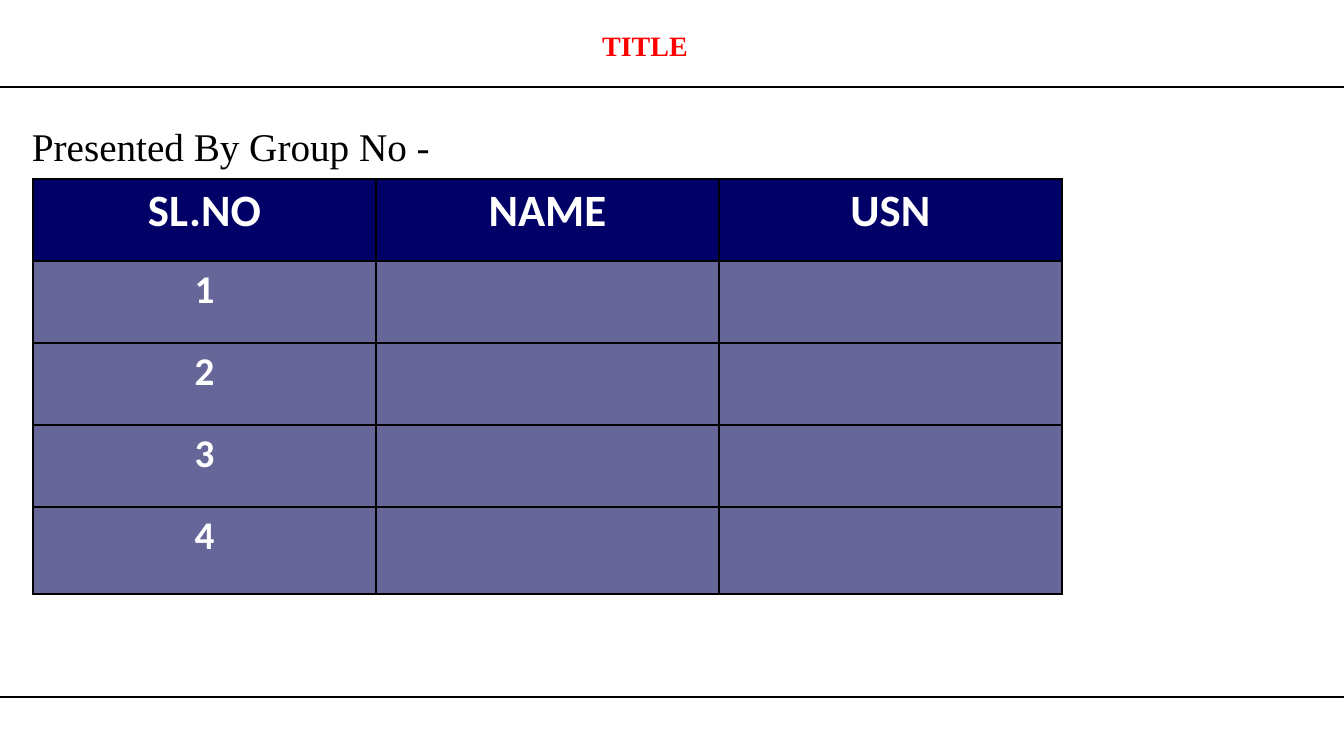
from lxml import etree
from pptx import Presentation
from pptx.dml.color import RGBColor
from pptx.enum.shapes import MSO_CONNECTOR
from pptx.enum.text import PP_ALIGN
from pptx.oxml.ns import qn
from pptx.util import Pt

LEFT, CENTER = PP_ALIGN.LEFT, PP_ALIGN.CENTER
STRAIGHT = MSO_CONNECTOR.STRAIGHT

# Content
TITLE = "TITLE"
GROUP = "Presented By Group No -"
HEAD = ["SL.NO", "NAME", "USN"]
MEMBERS = [["1", "", ""], ["2", "", ""], ["3", "", ""], ["4", "", ""]]


class Theme:
    serif, sans = "Times New Roman", "Calibri"
    black, white, red = "000000", "FFFFFF", "FF0000"
    navy, slate = "000066", "666699"
    title, label, head, body = 20, 28, 32, 28
    rule, border = 1.5, 1


# Layout in px
WIDE, HIGH = 1344, 756
RULES = [87, 697]
TITLE_BOX = (64, 24, 1162, 44)
GROUP_BOX = (22, 117, 1015, 57)
GRID_X, GRID_Y = 33, 179
COL, ROW, LAST = 343, 82, 87


def px(n):
    return round(n * 914400 / 100.8)


def rgb(code):
    return RGBColor.from_string(code)


def write(frame, text, size, face, color, bold, align):
    para = frame.paragraphs[0]
    para.text = text
    para.alignment = align
    font = para.font
    font.size, font.name, font.bold = Pt(size), face, bold
    font.color.rgb = rgb(color)


def add_label(slide, box, *style):
    frame = slide.shapes.add_textbox(*map(px, box)).text_frame
    frame.word_wrap = True
    write(frame, *style)


def add_rule(slide, y):
    line = slide.shapes.add_connector(STRAIGHT, 0, px(y), px(WIDE), px(y))
    line.line.color.rgb = rgb(Theme.black)
    line.line.width = Pt(Theme.rule)
    etree.SubElement(line._element.spPr, qn("a:effectLst"))


def add_border(cell):
    props = cell._tc.get_or_add_tcPr()
    for i, side in enumerate(("a:lnL", "a:lnR", "a:lnT", "a:lnB")):
        edge = etree.Element(qn(side), w=str(Pt(Theme.border)))
        fill = etree.SubElement(edge, qn("a:solidFill"))
        etree.SubElement(fill, qn("a:srgbClr"), val=Theme.black)
        props.insert(i, edge)  # borders come before the fill


def add_grid(slide):
    rows = [HEAD] + MEMBERS
    highs = [ROW] * (len(rows) - 1) + [LAST]
    box = (GRID_X, GRID_Y, COL * len(HEAD), sum(highs))
    grid = slide.shapes.add_table(len(rows), len(HEAD), *map(px, box)).table
    for col in grid.columns:
        col.width = px(COL)
    for r, (row, high) in enumerate(zip(rows, highs)):
        grid.rows[r].height = px(high)
        tint, size = (Theme.slate, Theme.body) if r else (Theme.navy, Theme.head)
        for c, text in enumerate(row):
            cell = grid.cell(r, c)
            cell.fill.solid()
            cell.fill.fore_color.rgb = rgb(tint)
            add_border(cell)
            if text:
                write(cell.text_frame, text, size, Theme.sans, Theme.white, True, CENTER)


def main():
    deck = Presentation()
    deck.slide_width, deck.slide_height = px(WIDE), px(HIGH)
    slide = deck.slides.add_slide(deck.slide_layouts[6])

    # Rules above and below the body
    for y in RULES:
        add_rule(slide, y)

    # Title, group label and member table
    add_label(slide, TITLE_BOX, TITLE, Theme.title, Theme.serif, Theme.red, True, CENTER)
    add_label(slide, GROUP_BOX, GROUP, Theme.label, Theme.serif, Theme.black, False, LEFT)
    add_grid(slide)

    deck.save("out.pptx")


if __name__ == "__main__":
    main()
